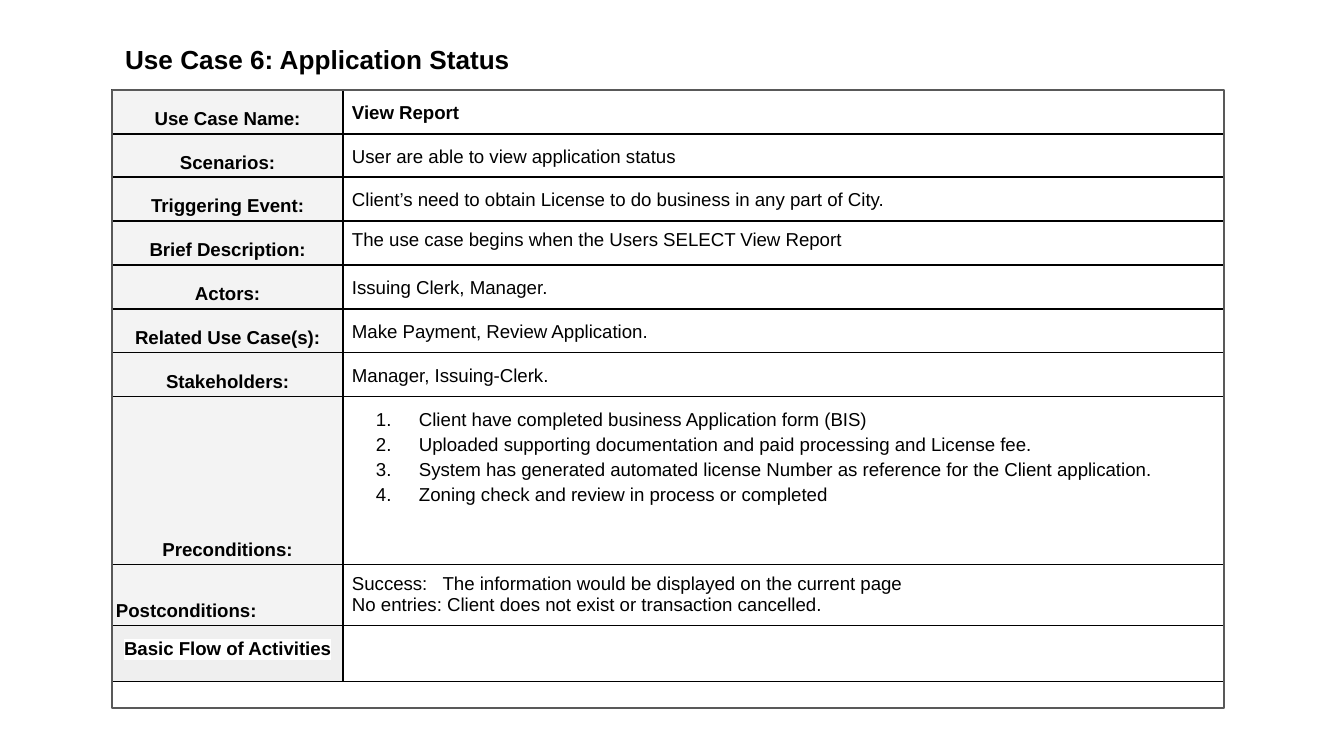
from dataclasses import dataclass

from lxml.etree import SubElement
from pptx import Presentation
from pptx.dml.color import RGBColor
from pptx.enum.shapes import MSO_SHAPE
from pptx.enum.text import MSO_ANCHOR, MSO_AUTO_SIZE, PP_ALIGN
from pptx.oxml import parse_xml
from pptx.oxml.ns import nsdecls, qn
from pptx.util import Pt

EMU_PER_PX = 914400 / 134.4


@dataclass(frozen=True)
class Theme:
    font: str = "Arial"
    title_size: int = 14
    body_size: int = 10
    line_width: float = 0.75
    text: str = "000000"
    border: str = "000000"
    frame: str = "595959"
    label_fill: str = "F3F3F3"
    flow_fill: str = "EFEFEF"
    flow_highlight: str = "FFFFFF"


@dataclass(frozen=True)
class Row:
    label: str
    lines: tuple = ()
    height: int = 44
    spacing: float = 1.2
    label_align: PP_ALIGN = PP_ALIGN.CENTER
    bold: bool = False
    numbered: bool = False


THEME = Theme()
COLUMN_WIDTHS = (231, 70, 811)
FLOW_LABEL = "Basic Flow of Activities"
ROWS = (
    Row("Use Case Name:", ("View Report",), bold=True),
    Row("Scenarios:", ("User are able to view application status",), 43),
    Row("Triggering Event:", ("Client’s need to obtain License to do business in any part of City.",)),
    Row("Brief Description:", ("The use case begins when the Users SELECT View Report",), spacing=1.0),
    Row("Actors:", ("Issuing Clerk, Manager.",)),
    Row("Related Use Case(s):", ("Make Payment, Review Application.",)),
    Row("Stakeholders:", ("Manager, Issuing-Clerk.",)),
    Row("Preconditions:", (
        "Client have completed business Application form (BIS)",
        "Uploaded supporting documentation and paid processing and License fee.",
        "System has generated automated license Number as reference for the Client application.",
        "Zoning check and review in process or completed",
    ), 168, numbered=True),
    Row("Postconditions:", (
        "Success:   The information would be displayed on the current page",
        "No entries: Client does not exist or transaction cancelled.",
    ), 61, spacing=1.0, label_align=PP_ALIGN.LEFT),
    Row(FLOW_LABEL, height=56),
)


def px(length):
    return round(length * EMU_PER_PX)


def set_insets(target, inset):
    target.margin_left = target.margin_right = px(inset)
    target.margin_top = target.margin_bottom = px(inset)


def format_paragraph(paragraph, size, bold, spacing, align=PP_ALIGN.LEFT):
    paragraph.alignment = align
    paragraph.line_spacing = spacing
    for run in paragraph.runs:
        run.font.name = THEME.font
        run.font.size = Pt(size)
        run.font.bold = bold
        run.font.color.rgb = RGBColor.from_string(THEME.text)


def number_paragraph(paragraph):
    properties = paragraph._p.get_or_add_pPr()
    properties.set("marL", str(px(67)))
    properties.set("indent", str(px(-43)))
    color = SubElement(properties, qn("a:buClr"))
    SubElement(color, qn("a:srgbClr"), val=THEME.text)
    SubElement(properties, qn("a:buAutoNum"), type="arabicPeriod")


def highlight_run(run, color):
    highlight = parse_xml(
        f'<a:highlight {nsdecls("a")}><a:srgbClr val="{color}"/></a:highlight>')
    run._r.rPr.find(qn("a:solidFill")).addnext(highlight)


def add_borders(cell):
    properties = cell._tc.get_or_add_tcPr()
    for position, side in enumerate(("lnL", "lnR", "lnT", "lnB")):
        properties.insert(position, parse_xml(
            f'<a:{side} {nsdecls("a")} w="{Pt(THEME.line_width)}"><a:solidFill>'
            f'<a:srgbClr val="{THEME.border}"/></a:solidFill></a:{side}>'))


def fill_label(cell, row):
    is_flow = row.label == FLOW_LABEL
    cell.text_frame.text = row.label
    cell.vertical_anchor = MSO_ANCHOR.TOP if is_flow else MSO_ANCHOR.BOTTOM
    set_insets(cell, 9 if is_flow else 4)
    cell.fill.solid()
    cell.fill.fore_color.rgb = RGBColor.from_string(
        THEME.flow_fill if is_flow else THEME.label_fill)
    paragraph = cell.text_frame.paragraphs[0]
    format_paragraph(paragraph, THEME.body_size, True, row.spacing, row.label_align)
    if is_flow:
        highlight_run(paragraph.runs[0], THEME.flow_highlight)


def fill_details(cell, row):
    cell.text_frame.text = "\n".join(row.lines)
    set_insets(cell, 9)
    cell.fill.background()
    for paragraph in cell.text_frame.paragraphs:
        format_paragraph(paragraph, THEME.body_size, row.bold, row.spacing)
        if row.numbered:
            number_paragraph(paragraph)
        if not row.lines:
            # The end mark sets the line height of an empty cell.
            SubElement(paragraph._p, qn("a:endParaRPr"), sz=str(THEME.body_size * 100))


def add_use_case_table(slide, left, top):
    height = sum(row.height for row in ROWS)
    table = slide.shapes.add_table(
        len(ROWS), len(COLUMN_WIDTHS), px(left), px(top),
        px(sum(COLUMN_WIDTHS)), px(height)).table
    table.first_row = table.horz_banding = False
    for column, width in zip(table.columns, COLUMN_WIDTHS):
        column.width = px(width)
    for index, row in enumerate(ROWS):
        table.rows[index].height = px(row.height)
        table.cell(index, 1).merge(table.cell(index, 2))
        fill_label(table.cell(index, 0), row)
        fill_details(table.cell(index, 1), row)
        for cell in table.rows[index].cells:
            add_borders(cell)


def add_title(slide, left, top, width, height):
    title = slide.shapes.title
    title.left, title.top, title.width, title.height = map(px, (left, top, width, height))
    frame = title.text_frame
    frame.text = "Use Case 6: Application Status"
    frame.auto_size = MSO_AUTO_SIZE.NONE
    frame.word_wrap = True
    frame.vertical_anchor = MSO_ANCHOR.MIDDLE
    set_insets(frame, 13)
    format_paragraph(frame.paragraphs[0], THEME.title_size, True, 1.38)


def add_frame(slide, left, top, width, height):
    frame = slide.shapes.add_shape(
        MSO_SHAPE.RECTANGLE, *map(px, (left, top, width, height)))
    frame.shadow.inherit = False
    frame.fill.background()
    frame.line.color.rgb = RGBColor.from_string(THEME.frame)
    frame.line.width = Pt(THEME.line_width)


def main():
    presentation = Presentation()
    presentation.slide_width = px(1344)
    presentation.slide_height = px(756)
    slide = presentation.slides.add_slide(presentation.slide_layouts[5])
    left, top = 112, 90
    add_use_case_table(slide, left, top)
    add_title(slide, left, 32, 445, 42)
    add_frame(slide, left, top, sum(COLUMN_WIDTHS), 618)
    presentation.save("out.pptx")


if __name__ == "__main__":
    main()
